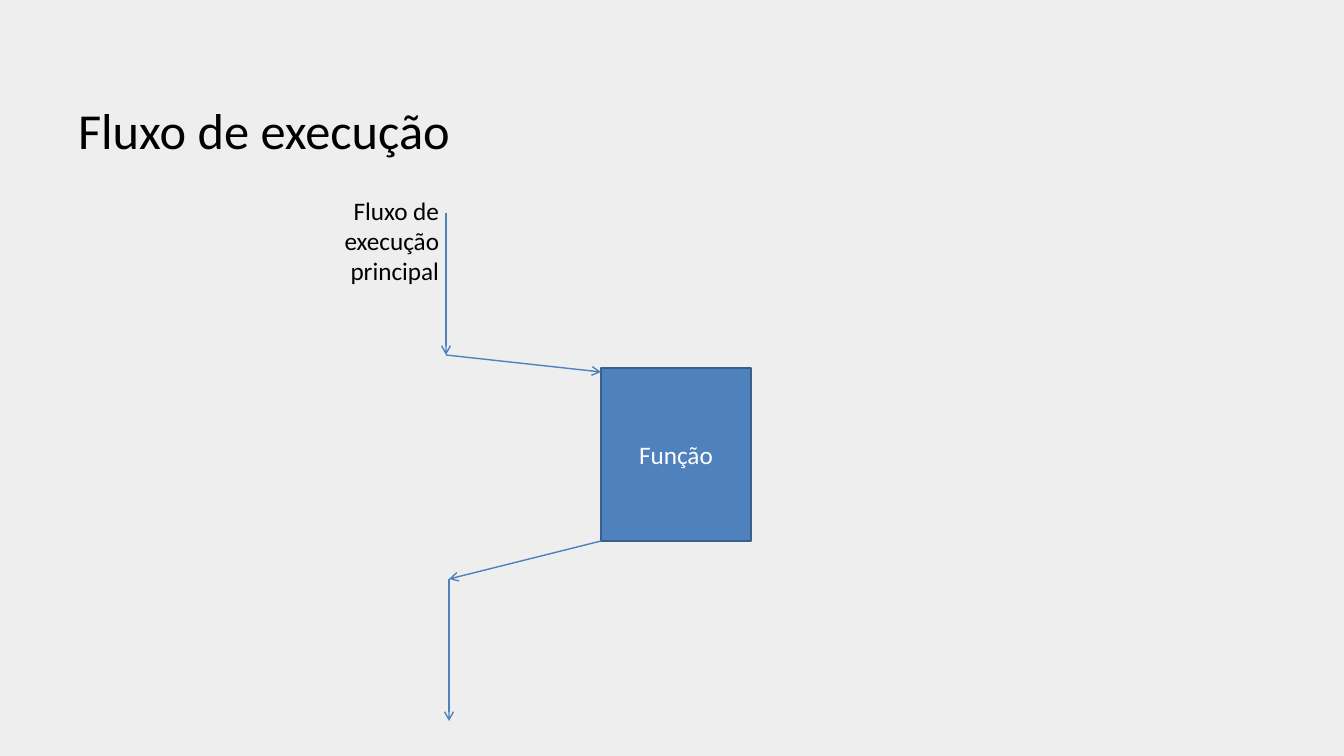
from dataclasses import dataclass

from lxml.etree import SubElement
from pptx import Presentation
from pptx.dml.color import RGBColor as RGB
from pptx.enum.shapes import MSO_CONNECTOR as CONN, MSO_SHAPE as SHAPE
from pptx.enum.text import MSO_ANCHOR as ANCHOR, MSO_AUTO_SIZE as FIT, PP_ALIGN as ALIGN
from pptx.oxml.ns import qn
from pptx.util import Pt

TITLE = ("Fluxo de execução", (68, 39, 1210, 126))
MAIN_FLOW = ("Fluxo de execução principal", (286, 190, 163, 102))
FUNCTION = ("Função", (601, 368, 150, 173))
CALL = (446, 355)
RETURN = (449, 579)
ENTRY_DROP = 4
FLOW_LENGTH = 142


@dataclass(frozen=True)
class Theme:
    font: str = "Calibri"
    background: str = "EEEEEE"
    text: str = "000000"
    inverse: str = "FFFFFF"
    accent: str = "4F81BD"
    border: str = "3A5F8C"
    title_size: int = 36
    body_size: int = 18


THEME = Theme()
SLIDE_SIZE = (1344, 756)
EMU_PER_PX = 914400 / 100.8


def px(*values):
    return [round(v * EMU_PER_PX) for v in values]


def write(sp, text, *, size=THEME.body_size, color=THEME.text,
          align=ALIGN.LEFT, anchor=ANCHOR.TOP, fit=FIT.NONE):
    tf = sp.text_frame
    tf.word_wrap = True
    tf.auto_size = fit
    tf.vertical_anchor = anchor
    p = tf.paragraphs[0]
    p.alignment = align
    r = p.add_run()
    r.text = text
    r.font.name = THEME.font
    r.font.size = Pt(size)
    r.font.color.rgb = RGB.from_string(color)


def add_arrow(s, start, end):
    line = s.shapes.add_connector(CONN.STRAIGHT, *px(*start, *end))
    line.line.color.rgb = RGB.from_string(THEME.accent)
    line.line.width = Pt(1)
    SubElement(line.line._get_or_add_ln(), qn("a:tailEnd"), type="arrow")
    SubElement(line._element.spPr, qn("a:effectLst"))


def main():
    prs = Presentation()
    prs.slide_width, prs.slide_height = px(*SLIDE_SIZE)
    s = prs.slides.add_slide(prs.slide_layouts[5])
    s.background.fill.solid()
    s.background.fill.fore_color.rgb = RGB.from_string(THEME.background)

    text, box = TITLE
    title = s.shapes.title
    title.left, title.top, title.width, title.height = px(*box)
    write(title, text, size=THEME.title_size, anchor=ANCHOR.BOTTOM)

    text, box = FUNCTION
    left, top, _, height = box
    sp = s.shapes.add_shape(SHAPE.RECTANGLE, *px(*box))
    sp.shadow.inherit = False
    sp.fill.solid()
    sp.fill.fore_color.rgb = RGB.from_string(THEME.accent)
    sp.line.color.rgb = RGB.from_string(THEME.border)
    sp.line.width = Pt(2)
    write(sp, text, color=THEME.inverse, align=ALIGN.CENTER, anchor=ANCHOR.MIDDLE)

    add_arrow(s, (CALL[0], CALL[1] - FLOW_LENGTH), CALL)
    add_arrow(s, CALL, (left, top + ENTRY_DROP))
    add_arrow(s, (left, top + height), RETURN)
    add_arrow(s, RETURN, (RETURN[0], RETURN[1] + FLOW_LENGTH))

    text, box = MAIN_FLOW
    write(s.shapes.add_textbox(*px(*box)), text, align=ALIGN.RIGHT,
          fit=FIT.SHAPE_TO_FIT_TEXT)

    prs.save("out.pptx")


if __name__ == "__main__":
    main()
